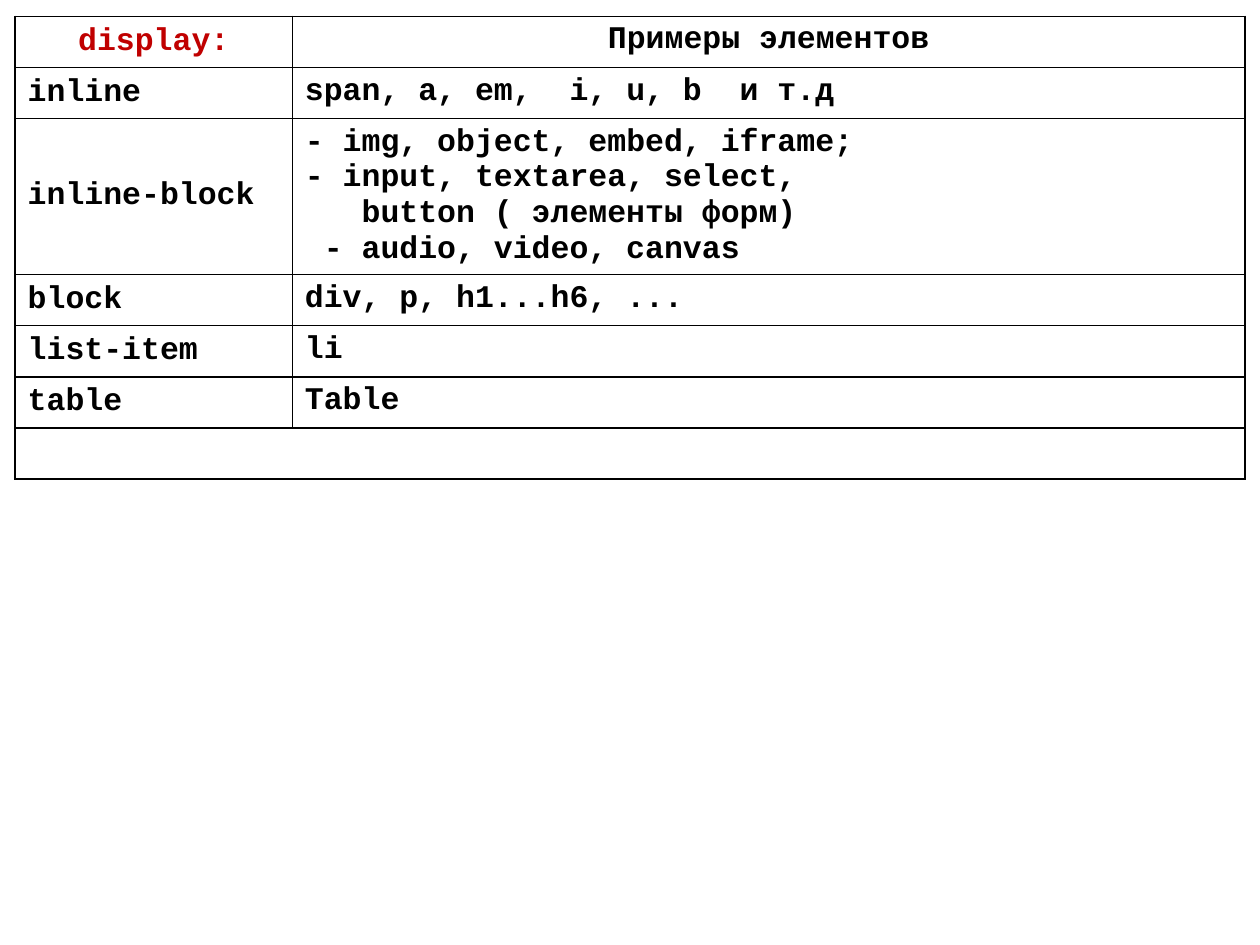
"""Build a slide with a table of CSS display values and example elements."""
from lxml import etree
from pptx import Presentation
from pptx.dml.color import RGBColor
from pptx.enum.text import MSO_ANCHOR, PP_ALIGN
from pptx.oxml.ns import qn
from pptx.util import Inches, Pt

CENTER, LEFT = PP_ALIGN.CENTER, PP_ALIGN.LEFT
MIDDLE, TOP = MSO_ANCHOR.MIDDLE, MSO_ANCHOR.TOP

COLORS = {"text": "000000", "accent": "C00000", "border": "000000"}
FONT, FONT_SIZE = "Courier New", 18
CHAR_WIDTH = 0.6 * FONT_SIZE

HEADINGS = ("display:", "Примеры элементов")
DISPLAY_EXAMPLES = [
    ("inline", [(0, "span, a, em,  i, u, b  и т.д")]),
    ("inline-block", [
        (0, "- img, object, embed, iframe;"),
        (0, "- input, textarea, select,"),
        (3, "button ( элементы форм)"),
        (1, "- audio, video, canvas"),
    ]),
    ("block", [(0, "div, p, h1...h6, ...")]),
    ("list-item", [(0, "li")]),
    ("table", [(0, "Table")]),
]
COLUMN_WIDTHS = (2.2, 7.56)
ROW_HEIGHT, EXTRA_LINE = 29.2, 20
TABLE_LEFT, TABLE_TOP = 0.12, 0.13


def write_cell(cell, lines, anchor, align=LEFT, color="text"):
    cell.vertical_anchor = anchor
    for number, (indent, text) in enumerate(lines):
        frame = cell.text_frame
        paragraph = frame.add_paragraph() if number else frame.paragraphs[0]
        paragraph.alignment = align
        if indent:
            paragraph._p.get_or_add_pPr().set("marL", str(Pt(indent * CHAR_WIDTH)))
        run = paragraph.add_run()
        run.text = text
        run.font.name = FONT
        run.font.size = Pt(FONT_SIZE)
        run.font.bold = True
        run.font.color.rgb = RGBColor.from_string(COLORS[color])


def style_cell(cell):
    cell.fill.background()
    properties = cell._tc.get_or_add_tcPr()
    for position, side in enumerate(("lnL", "lnR", "lnT", "lnB")):
        border = etree.Element(qn(f"a:{side}"), w=str(Pt(1)))
        fill = etree.SubElement(border, qn("a:solidFill"))
        etree.SubElement(fill, qn("a:srgbClr"), val=COLORS["border"])
        properties.insert(position, border)


def main():
    deck = Presentation()
    deck.slide_width, deck.slide_height = Inches(10), Inches(7.5)
    slide = deck.slides.add_slide(deck.slide_layouts[6])

    line_counts = [1, *(len(lines) for _, lines in DISPLAY_EXAMPLES), 1]
    heights = [Pt(ROW_HEIGHT + (count - 1) * EXTRA_LINE) for count in line_counts]
    table = slide.shapes.add_table(
        len(heights), len(COLUMN_WIDTHS), Inches(TABLE_LEFT), Inches(TABLE_TOP),
        Inches(sum(COLUMN_WIDTHS)), sum(heights)).table
    table.first_row = table.horz_banding = False
    for column, width in zip(table.columns, COLUMN_WIDTHS):
        column.width = Inches(width)
    for row, height in zip(table.rows, heights):
        row.height = height
    for cell in table.iter_cells():
        style_cell(cell)

    write_cell(table.cell(0, 0), [(0, HEADINGS[0])], MIDDLE, CENTER, "accent")
    write_cell(table.cell(0, 1), [(0, HEADINGS[1])], TOP, CENTER)
    for row, (display, examples) in enumerate(DISPLAY_EXAMPLES, 1):
        write_cell(table.cell(row, 0), [(0, display)], MIDDLE)
        write_cell(table.cell(row, 1), examples, TOP)
    last_row = len(heights) - 1
    table.cell(last_row, 0).merge(table.cell(last_row, 1))

    deck.save("out.pptx")


if __name__ == "__main__":
    main()
